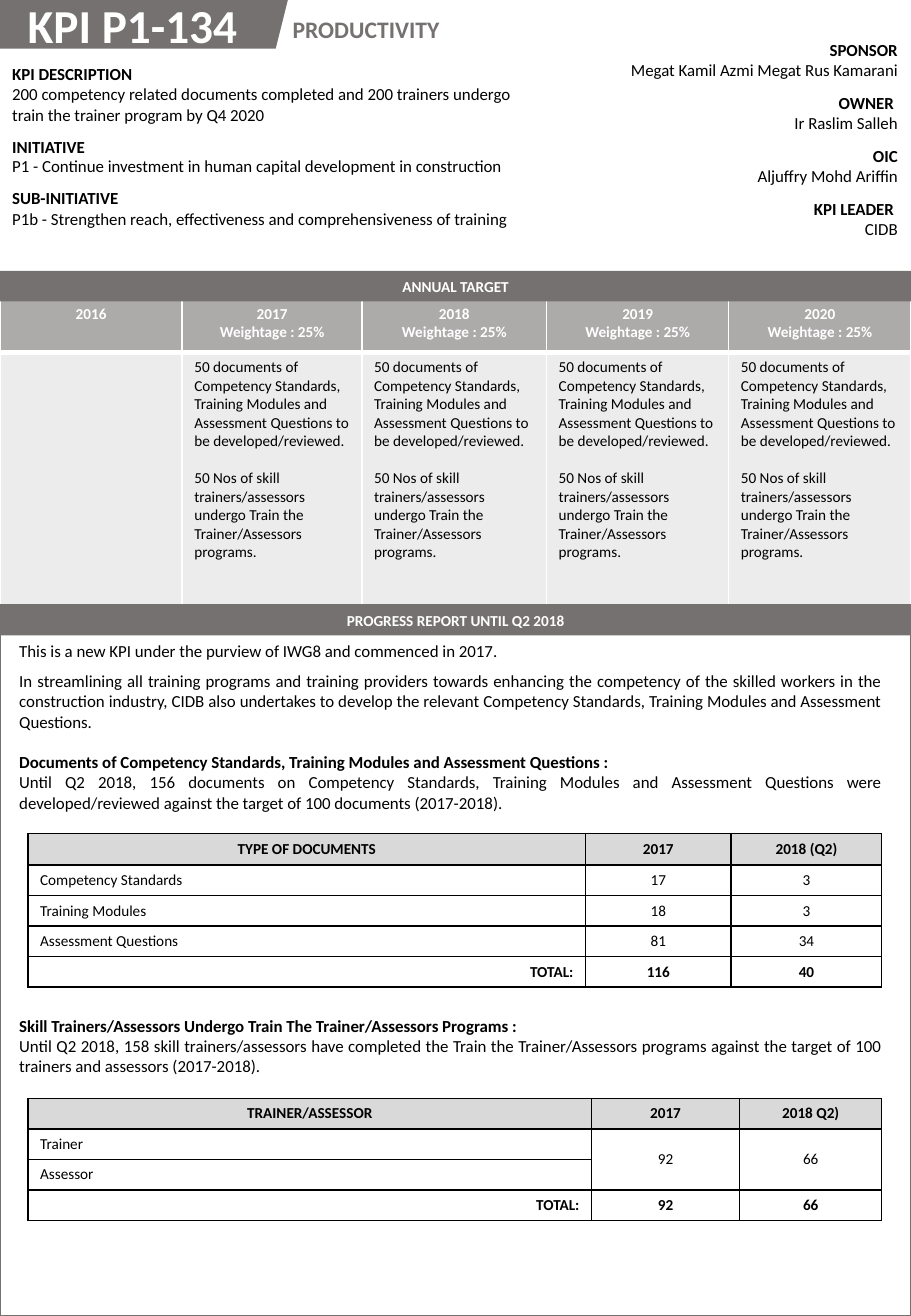
from dataclasses import dataclass

from lxml import etree
from pptx import Presentation
from pptx import util as u
from pptx.dml.color import RGBColor
from pptx.enum import shapes, text
from pptx.oxml.ns import qn

LEFT, CENTER, RIGHT, JUSTIFY = (
    text.PP_ALIGN.LEFT, text.PP_ALIGN.CENTER, text.PP_ALIGN.RIGHT, text.PP_ALIGN.JUSTIFY)
MIDDLE, TOP = text.MSO_ANCHOR.MIDDLE, text.MSO_ANCHOR.TOP
NO_STYLE = "{2D5ABB26-0587-4C30-8999-92F81FD0307C}"


@dataclass(frozen=True)
class Theme:
    font: str = "Calibri"
    dark: str = "767171"
    medium: str = "ADAAAA"
    light: str = "EDECEC"
    header: str = "D9D9D9"
    black: str = "000000"
    white: str = "FFFFFF"
    title: int = 28
    category: int = 14
    body: int = 10
    small: int = 9


class Report:
    """Draws styled elements on the current slide."""

    def __init__(self, presentation, theme):
        self.theme = theme
        self.slide = presentation.slides.add_slide(presentation.slide_layouts[6])

    def fill_text(self, frame, lines, **common):
        for index, (words, own) in enumerate(lines):
            paragraph = frame.paragraphs[0] if index == 0 else frame.add_paragraph()
            paragraph.add_run().text = words
            style = {"name": self.theme.font, "size": self.theme.body,
                     "color": self.theme.black, **common, **own}
            paragraph.font.color.rgb = RGBColor.from_string(style.pop("color"))
            for name, value in style.items():
                target = paragraph.font if name in ("name", "size", "bold") else paragraph
                points = name in ("size", "space_before")
                setattr(target, name, u.Pt(value) if points else value)

    def text(self, box, lines, wrap=True, **style):
        shape = self.slide.shapes.add_textbox(*map(u.Inches, box))
        shape.text_frame.word_wrap = wrap
        self.fill_text(shape.text_frame, lines, **style)

    def shape(self, box, kind=shapes.MSO_SHAPE.RECTANGLE, fill=None, line=None):
        shape = self.slide.shapes.add_shape(kind, *map(u.Inches, box))
        shape.shadow.inherit = False
        if fill:
            shape.fill.solid()
            shape.fill.fore_color.rgb = RGBColor.from_string(fill)
        else:
            shape.fill.background()
        if line:
            shape.line.color.rgb = RGBColor.from_string(line)
            shape.line.width = u.Pt(1.5)
        else:
            shape.line.fill.background()
        return shape

    def bar(self, top, words):
        shape = self.shape((0, top, 7.5, 0.25), fill=self.theme.dark)
        shape.text_frame.vertical_anchor = MIDDLE
        self.fill_text(shape.text_frame, [(words, {})], size=self.theme.small, bold=True,
                       color=self.theme.white, alignment=CENTER)

    def table(self, left, top, columns, rows):
        box = (left, top, sum(columns), sum(rows))
        frame = self.slide.shapes.add_table(len(rows), len(columns), *map(u.Inches, box))
        table = frame.table
        table.first_row = table.horz_banding = False
        table._tbl.tblPr.find(qn("a:tableStyleId")).text = NO_STYLE
        for column, width in zip(table.columns, columns):
            column.width = u.Inches(width)
        for row, height in zip(table.rows, rows):
            row.height = u.Inches(height)
        return table

    def cell(self, cell, lines, fill=None, border=None, widths=(1, 1, 1, 1),
             anchor=TOP, **style):
        self.fill_text(cell.text_frame, lines, **style)
        cell.vertical_anchor = anchor
        if fill:
            cell.fill.solid()
            cell.fill.fore_color.rgb = RGBColor.from_string(fill)
        else:
            cell.fill.background()
        if border:
            properties = cell._tc.get_or_add_tcPr()
            for index, (side, width) in enumerate(zip("LRTB", widths)):
                line = etree.Element(qn(f"a:ln{side}"), w=str(u.Pt(width)))
                paint = etree.SubElement(line, qn("a:solidFill"))
                etree.SubElement(paint, qn("a:srgbClr"), val=border)
                properties.insert(index, line)

    def details(self, left, top, width, rows, entries, alignment):
        table = self.table(left, top, [width], rows)
        for index, (label, value, spacing) in enumerate(entries):
            lines = [(label, {"bold": True}), (value, {"line_spacing": spacing})]
            self.cell(table.cell(index, 0), lines, alignment=alignment)

    def targets(self, top, columns, rows, years, goals):
        table = self.table(0, top, columns, rows)
        small, white = self.theme.small, self.theme.white
        for index, year in enumerate(years):
            planned = index > 0
            heading = [(year, {})] + [("Weightage : 25%", {})] * planned
            self.cell(table.cell(0, index), heading, self.theme.medium, white, (1, 1, 1, 3),
                      size=small, bold=True, color=white, alignment=CENTER)
            self.cell(table.cell(1, index), goals if planned else [], self.theme.light,
                      white, (1, 1, 3, 1), size=small)

    def counts(self, top, columns, rows, values, merged=False):
        table = self.table(0.23, top, columns, rows)
        last = len(values) - 1
        for r, row in enumerate(values):
            for c, words in enumerate(row):
                label = RIGHT if r == last else LEFT
                self.cell(table.cell(r, c), [(words, {})] if words else [],
                          self.theme.header if r == 0 else None, self.theme.black,
                          anchor=MIDDLE, size=self.theme.small, bold=r in (0, last),
                          alignment=CENTER if c or r == 0 else label)
        if merged:
            for c in (1, 2):
                table.cell(1, c).merge(table.cell(2, c))


def main():
    presentation = Presentation()
    presentation.slide_width, presentation.slide_height = u.Inches(7.5), u.Inches(10.83)
    theme = Theme()
    report = Report(presentation, theme)

    report.shape((-0.17, 0, 2.54, 0.4), shapes.MSO_SHAPE.PARALLELOGRAM, theme.dark)
    goals = [
        ("50 documents of Competency Standards, Training Modules and Assessment Questions "
         "to be developed/reviewed.", {}),
        ("50 Nos of skill trainers/assessors undergo Train the Trainer/Assessors programs.",
         {"space_before": 11}),
    ]
    report.targets(2.46, [1.5, 1.48, 1.52, 1.5, 1.5], [0.44, 2.11],
                   ["2016", "2017", "2018", "2019", "2020"], goals)
    report.shape((0, 4.98, 7.5, 5.85), line=theme.dark)

    report.details(5.05, 0.28, 2.44, [0.43] * 4, [
        ("SPONSOR", "Megat Kamil Azmi Megat Rus Kamarani", 1.0),
        ("OWNER ", "Ir Raslim Salleh", 1.0),
        ("OIC", "Aljuffry Mohd Ariffin", 1.0),
        ("KPI LEADER ", "CIDB", 1.0),
    ], RIGHT)
    report.details(0, 0.48, 4.48, [0.6, 0.42, 0.43], [
        ("KPI DESCRIPTION", "200 competency related documents completed and 200 trainers "
         "undergo train the trainer program by Q4 2020", 1.0),
        ("INITIATIVE",
         "P1 - Continue investment in human capital development in construction", 0.88),
        ("SUB-INITIATIVE",
         "P1b - Strengthen reach, effectiveness and comprehensiveness of training", 1.0),
    ], LEFT)

    report.text((0.06, 5.22, 7.29, 3.75), [
        ("This is a new KPI under the purview of IWG8 and commenced in 2017.", {}),
        ("In streamlining all training programs and training providers towards enhancing the "
         "competency of the skilled workers in the construction industry, CIDB also undertakes "
         "to develop the relevant Competency Standards, Training Modules and Assessment "
         "Questions.", {"alignment": JUSTIFY, "space_before": 6}),
        ("Documents of Competency Standards, Training Modules and Assessment Questions :",
         {"bold": True, "space_before": 12}),
        ("Until Q2 2018, 156 documents on Competency Standards, Training Modules and Assessment "
         "Questions were developed/reviewed against the target of 100 documents (2017-2018).",
         {"alignment": JUSTIFY}),
        ("Skill Trainers/Assessors Undergo Train The Trainer/Assessors Programs :",
         {"bold": True, "space_before": 120}),
        ("Until Q2 2018, 158 skill trainers/assessors have completed the Train the "
         "Trainer/Assessors programs against the target of 100 trainers and assessors "
         "(2017-2018).", {"alignment": JUSTIFY}),
    ])
    report.text((2.31, 0.07, 1.45, 0.34), [("PRODUCTIVITY", {})], wrap=False,
                size=theme.category, bold=True, color=theme.dark)
    report.text((0.13, -0.08, 2.24, 0.57), [("KPI P1-134", {})],
                size=theme.title, bold=True, color=theme.white)
    report.bar(4.98, "PROGRESS REPORT UNTIL Q2 2018")
    report.bar(2.23, "ANNUAL TARGET")

    report.counts(6.86, [4.59, 1.2, 1.24], [0.26] + [0.25] * 4, [
        ("TYPE OF DOCUMENTS", "2017", "2018 (Q2)"),
        ("Competency Standards", "17", "3"),
        ("Training Modules", "18", "3"),
        ("Assessment Questions", "81", "34"),
        ("TOTAL:", "116", "40"),
    ])
    report.counts(9.04, [4.64, 1.22, 1.17], [0.25] * 4, [
        ("TRAINER/ASSESSOR", "2017", "2018 Q2)"),
        ("Trainer", "92", "66"),
        ("Assessor", "", ""),
        ("TOTAL:", "92", "66"),
    ], merged=True)
    presentation.save("out.pptx")


if __name__ == "__main__":
    main()
